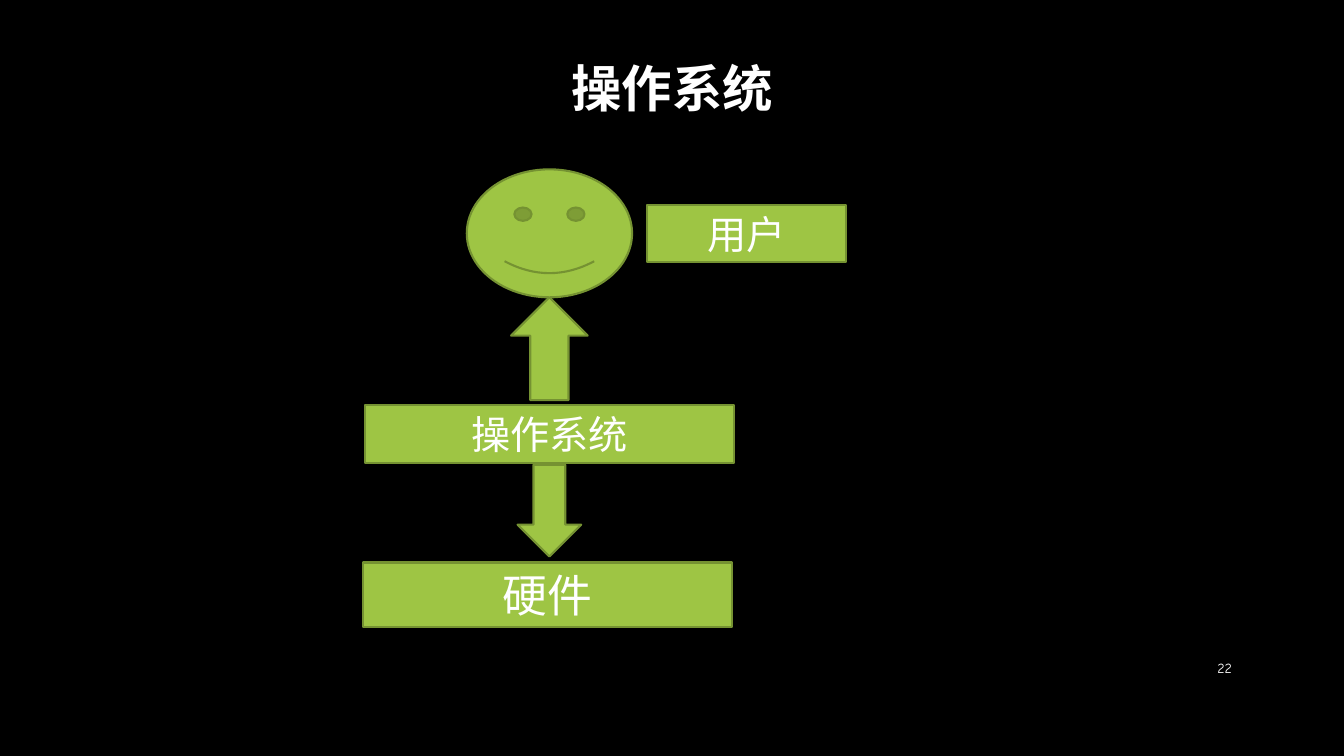
"""Build the slide that places the operating system between user and hardware."""
from dataclasses import dataclass

import pptx
import pptx.dml.color
import pptx.enum.shapes
import pptx.enum.text
import pptx.shapes.autoshape
import pptx.util

SHAPE = pptx.enum.shapes.MSO_SHAPE
ALIGN = pptx.enum.text.PP_ALIGN
WIDTH = pptx.util.Inches(13.333)
HEIGHT = pptx.util.Inches(7.5)
COLOURS = {"background": "000000", "text": "FFFFFF", "fill": "9EC544", "line": "759232"}
HEADING_FONT = "Roboto Slab"
NUMBER_FONT = "Comic Neue"
STACK_CENTRE = 40.88


@dataclass(frozen=True)
class Area:
    """Centre, top, width and height in percent of the slide."""

    centre: float
    top: float
    width: float
    height: float


@dataclass(frozen=True)
class Part:
    """One preset shape of the diagram."""

    kind: SHAPE
    area: Area
    label: str = ""
    size: int = 28


PARTS = [
    Part(SHAPE.UP_ARROW, Area(STACK_CENTRE, 39.33, 5.7, 13.6)),
    Part(SHAPE.RECTANGLE, Area(STACK_CENTRE, 53.6, 27.45, 7.6), "操作系统"),
    Part(SHAPE.DOWN_ARROW, Area(STACK_CENTRE, 61.47, 4.73, 12.13)),
    Part(SHAPE.RECTANGLE, Area(40.73, 74.4, 27.45, 8.53), "硬件", 32),
    Part(SHAPE.SMILEY_FACE, Area(STACK_CENTRE, 22.4, 12.3, 16.93)),
    Part(SHAPE.RECTANGLE, Area(55.54, 27.07, 14.78, 7.6), "用户"),
]
TITLE_AREA = Area(50, 6.8, 45.98, 9.47)
NUMBER_AREA = Area(89.33, 85.73, 6.15, 5.33)


def colour(name: str) -> pptx.dml.color.RGBColor:
    """Look up a named colour."""
    return pptx.dml.color.RGBColor.from_string(COLOURS[name])


def bounds(area: Area) -> tuple[int, int, int, int]:
    """Turn an area into left, top, width and height."""
    left = area.centre - area.width / 2
    return (
        round(WIDTH * left / 100),
        round(HEIGHT * area.top / 100),
        round(WIDTH * area.width / 100),
        round(HEIGHT * area.height / 100),
    )


def write(
    box: pptx.shapes.autoshape.Shape,
    text: str,
    size: int,
    font: str = HEADING_FONT,
    align: ALIGN = ALIGN.CENTER,
    bold: bool = False,
) -> None:
    """Fill a box with one formatted line of text."""
    frame = box.text_frame
    frame.text = text
    frame.word_wrap = True
    frame.auto_size = pptx.enum.text.MSO_AUTO_SIZE.NONE
    frame.vertical_anchor = pptx.enum.text.MSO_ANCHOR.MIDDLE
    para = frame.paragraphs[0]
    para.alignment = align
    for span in para.runs:
        span.font.name = font
        span.font.size = pptx.util.Pt(size)
        span.font.bold = bold
        span.font.color.rgb = colour("text")


def draw(slide: pptx.slide.Slide, part: Part) -> None:
    """Draw one part of the diagram."""
    shape = slide.shapes.add_shape(part.kind, *bounds(part.area))
    shape.shadow.inherit = False
    shape.fill.solid()
    shape.fill.fore_color.rgb = colour("fill")
    shape.line.color.rgb = colour("line")
    shape.line.width = pptx.util.Pt(1.5)
    if part.label:
        write(shape, part.label, part.size)


def main() -> None:
    """Create and save the deck."""
    deck = pptx.Presentation()
    deck.slide_width, deck.slide_height = WIDTH, HEIGHT
    slide = deck.slides.add_slide(deck.slide_layouts.get_by_name("Title Only"))
    slide.background.fill.solid()
    slide.background.fill.fore_color.rgb = colour("background")

    title = slide.shapes.title
    title.left, title.top, title.width, title.height = bounds(TITLE_AREA)
    write(title, "操作系统", 36, bold=True)

    number = slide.shapes.add_textbox(*bounds(NUMBER_AREA))
    write(number, "22", 10, NUMBER_FONT, ALIGN.RIGHT)

    for part in PARTS:
        draw(slide, part)
    deck.save("out.pptx")


if __name__ == "__main__":
    main()
